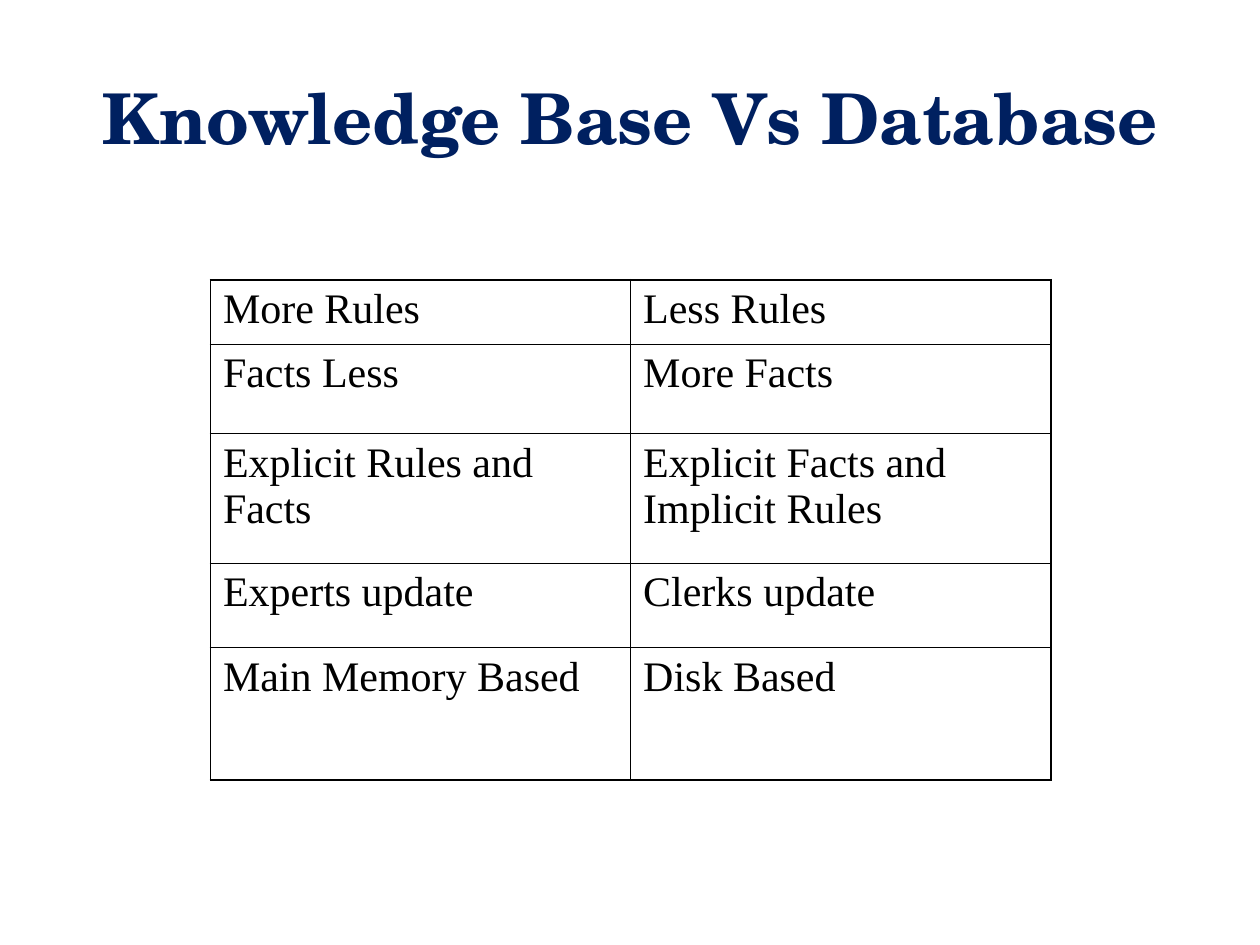
from pptx import Presentation
from pptx.dml.color import RGBColor
from pptx.enum.text import MSO_ANCHOR, PP_ALIGN
from pptx.oxml.ns import qn
from pptx.util import Inches, Pt
from lxml.etree import SubElement

NAVY = RGBColor(0x00, 0x20, 0x60)
BLACK = RGBColor(0x00, 0x00, 0x00)
THICK, THIN = Pt(1.08), Pt(0.45)

ROWS = [
    ("More Rules", "Less Rules"),
    ("Facts Less", "More Facts"),
    ("Explicit Rules and Facts", "Explicit Facts and Implicit Rules"),
    ("Experts update", "Clerks update"),
    ("Main Memory Based", "Disk Based"),
]
HEIGHTS = [0.51, 0.71, 1.03, 0.67, 1.05]


class Deck:
    """Holds the style and the current slide."""

    head_font, body_font = "TeX Gyre Schola", "Times New Roman"

    def __init__(self, wide, high):
        self.prs = Presentation()
        self.prs.slide_width, self.prs.slide_height = Inches(wide), Inches(high)
        self.slide = self.prs.slides.add_slide(self.prs.slide_layouts[5])

    def style(self, para, name, size, color, bold):
        font = para.font
        font.name, font.size, font.bold = name, Pt(size), bold
        font.color.rgb = color

    def title(self, text, left, top, width, height):
        box = self.slide.shapes.title
        box.left, box.top = Inches(left), Inches(top)
        box.width, box.height = Inches(width), Inches(height)
        box.text_frame.text = text
        box.text_frame.vertical_anchor = MSO_ANCHOR.MIDDLE
        para = box.text_frame.paragraphs[0]
        para.alignment = PP_ALIGN.CENTER
        self.style(para, self.head_font, 40, NAVY, True)

    def border(self, cell, edges):
        props = cell._tc.get_or_add_tcPr()
        for side, width in edges.items():
            line = SubElement(props, qn(f"a:ln{side}"), w=str(width))
            fill = SubElement(line, qn("a:solidFill"))
            SubElement(fill, qn("a:srgbClr"), val=str(BLACK))

    def table(self, rows, heights, left, top, width):
        count, span = len(rows), len(rows[0])
        grid = self.slide.shapes.add_table(
            count, span, Inches(left), Inches(top),
            Inches(width), Inches(sum(heights))).table
        grid.first_row = grid.horz_banding = False
        for r, texts in enumerate(rows):
            grid.rows[r].height = Inches(heights[r])
            for c, text in enumerate(texts):
                cell = grid.cell(r, c)
                cell.text = text
                self.style(cell.text_frame.paragraphs[0],
                           self.body_font, 24, BLACK, False)
                # Outer edges are thicker than inner ones
                self.border(cell, {
                    "L": THICK if c == 0 else THIN,
                    "R": THICK if c == span - 1 else THIN,
                    "T": THICK if r == 0 else THIN,
                    "B": THICK if r == count - 1 else THIN,
                })
                cell.fill.background()


def main():
    deck = Deck(10, 7.5)
    # Heading
    deck.title("Knowledge Base Vs Database", 0.5, 0.3, 9, 1.25)
    # Comparison table
    deck.table(ROWS, HEIGHTS, 1.67, 2.22, 6.67)
    deck.prs.save("out.pptx")


if __name__ == "__main__":
    main()
